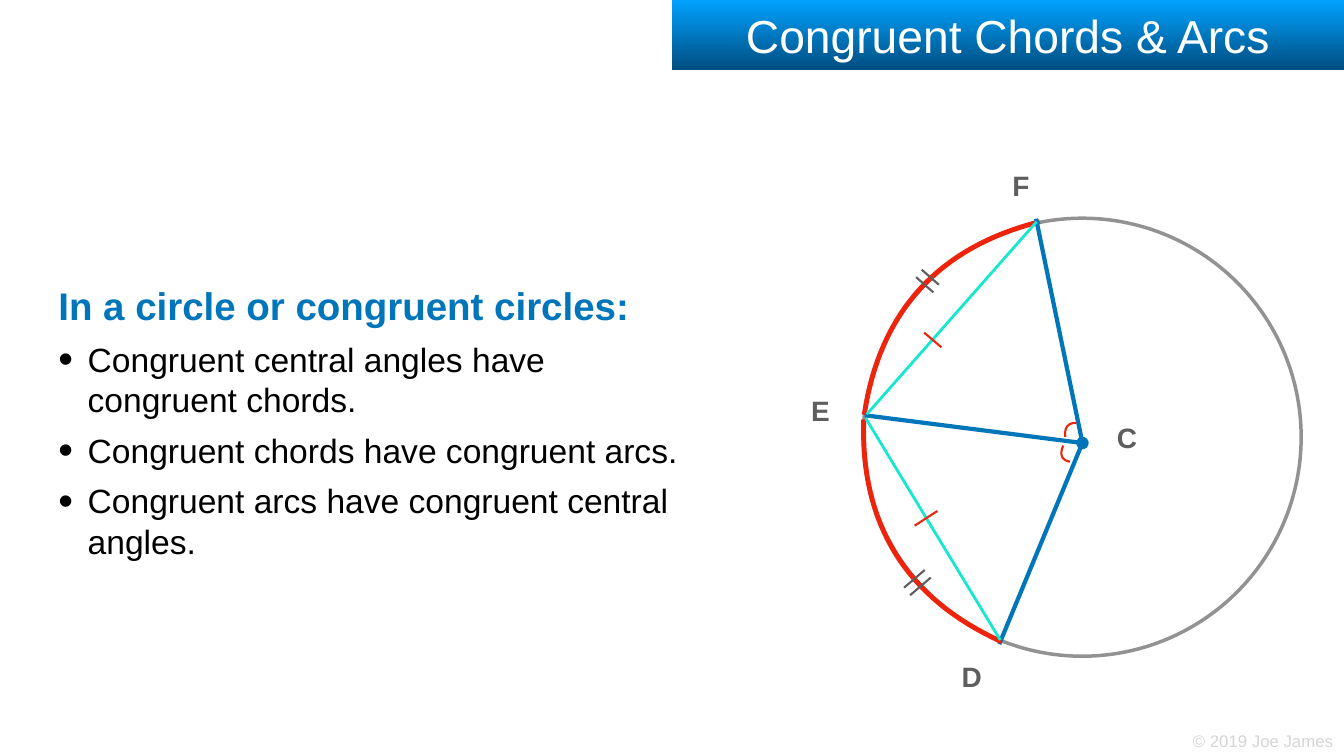
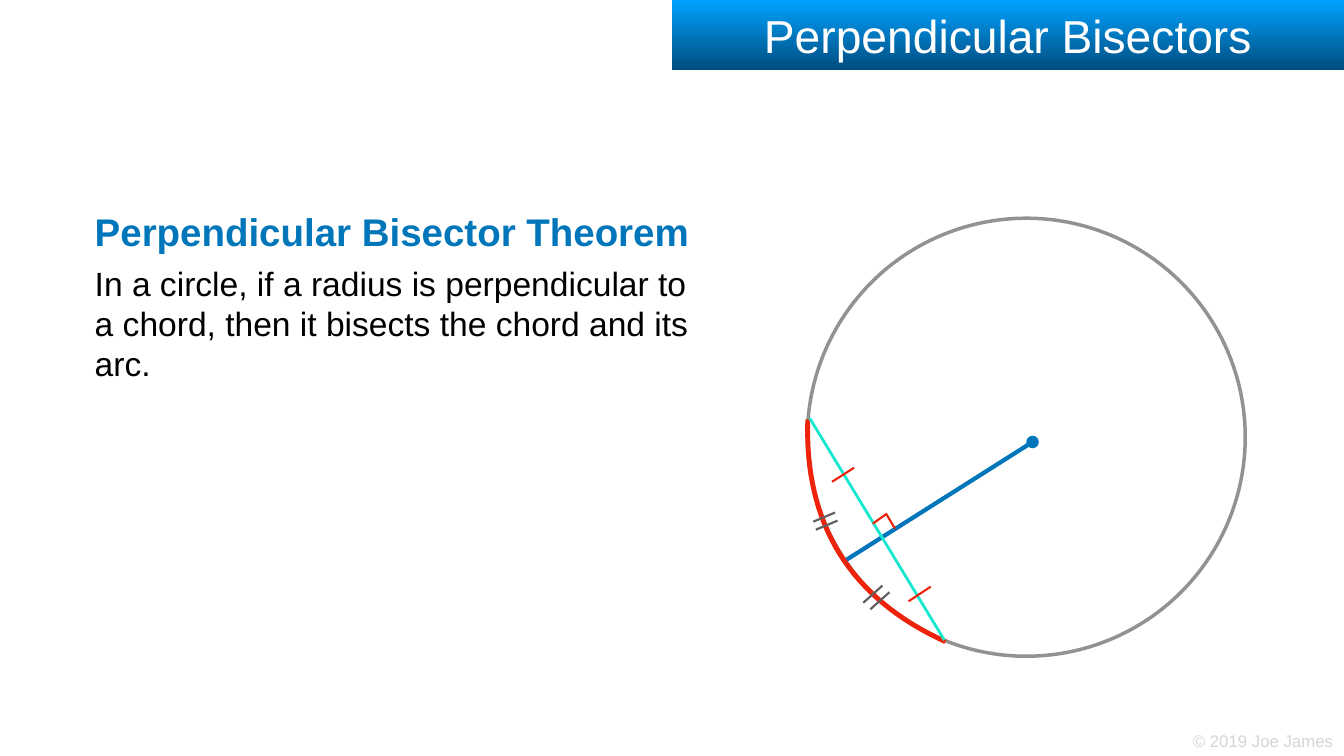
"""Build two geometry slides about chords, arcs and perpendicular bisectors."""
from dataclasses import dataclass
from typing import NamedTuple, Optional

from lxml import etree
from pptx import Presentation
from pptx import util as u
from pptx.dml.color import RGBColor
from pptx.enum import shapes, text
from pptx.oxml.ns import qn
from pptx.shapes.connector import Connector
from pptx.slide import Slide
from pptx.text.text import TextFrame, _Paragraph

EMU_PER_PX = 9144
FONT = "Arial"
INSET = 6
INDENT = 58
CURVE_STEPS = 32

WHITE = RGBColor(0xFF, 0xFF, 0xFF)
BLACK = RGBColor(0x00, 0x00, 0x00)
BLUE = RGBColor(0x00, 0x76, 0xBA)
BAND_TOP = RGBColor(0x00, 0xA2, 0xFF)
BAND_BOTTOM = RGBColor(0x00, 0x4D, 0x80)
RED = RGBColor(0xEE, 0x23, 0x0C)
TEAL = RGBColor(0x16, 0xE7, 0xCF)
DARK_GRAY = RGBColor(0x5E, 0x5E, 0x5E)
MID_GRAY = RGBColor(0x92, 0x92, 0x92)
PALE_GRAY = RGBColor(0xD5, 0xD5, 0xD5)

Point = tuple[int, int]


class Area(NamedTuple):
    left: int
    top: int
    width: int
    height: int


class Pen(NamedTuple):
    color: RGBColor
    width: int
    dot: bool = False


class Type(NamedTuple):
    size: int
    color: RGBColor
    bold: bool = False


@dataclass(frozen=True)
class Stroke:
    pen: Pen
    points: tuple[Point, ...]

    def moved(self, right: int, down: int = 0) -> "Stroke":
        """Return the same stroke at another place."""
        return Stroke(self.pen, tuple((x + right, y + down) for x, y in self.points))


@dataclass(frozen=True)
class Line:
    words: str
    style: Type
    bullet: bool = False


@dataclass(frozen=True)
class Label:
    letter: str
    area: Area


@dataclass(frozen=True)
class Theorem:
    title: str
    area: Area
    gap: int
    lines: tuple[Line, ...]
    circle: Area
    strokes: tuple[Stroke, ...]
    labels: tuple[Label, ...] = ()


ARC = Pen(RED, 7)
RADIUS = Pen(BLUE, 6)
CENTER_RADIUS = Pen(BLUE, 6, dot=True)
CHORD = Pen(TEAL, 4)
CHORD_MARK = Pen(RED, 3)
ARC_MARK = Pen(DARK_GRAY, 3)
OUTLINE = Pen(MID_GRAY, 5)

TITLE_TYPE = Type(66, WHITE)
HEADING = Type(55, BLUE, bold=True)
BODY = Type(48, BLACK)
LETTER = Type(40, DARK_GRAY, bold=True)
CREDIT = Type(24, PALE_GRAY)

SLIDE_SIZE = (2667, 1500)
BAND = Area(1333, 0, 1334, 139)
FOOTER = Area(2361, 1445, 291, 49)
CIRCLE = Area(1713, 433, 869, 869)
FIGURE_SHIFT = -111

LOWER_ARC = Stroke(ARC, ((1987, 1273), (1798, 1187), (1707, 1040), (1714, 832)))
LOWER_CHORD = Stroke(CHORD, ((1985, 1270), (1718, 830)))


def double_mark(start: Point, end: Point, right: int, down: int) -> tuple[Stroke, Stroke]:
    """Return two parallel ticks across an arc."""
    tick = Stroke(ARC_MARK, (start, end))
    return tick, tick.moved(right, down)


THEOREMS = (
    Theorem(
        "Congruent Chords & Arcs",
        Area(110, 553, 1277, 562),
        15,
        (
            Line("In a circle or congruent circles:", HEADING),
            Line("Congruent central angles have congruent chords.", BODY, bullet=True),
            Line("Congruent chords have congruent arcs.", BODY, bullet=True),
            Line("Congruent arcs have congruent central angles.", BODY, bullet=True),
        ),
        CIRCLE,
        (
            Stroke(ARC, ((1715, 823), (1746, 618), (1862, 491), (2063, 440))),
            Stroke(CENTER_RADIUS, ((2148, 879), (2056, 434))),
            Stroke(RADIUS, ((2148, 879), (1716, 824))),
            Stroke(RADIUS, ((2150, 874), (1983, 1278))),
            LOWER_ARC,
            Stroke(CHORD, ((2057, 440), (1720, 822))),
            LOWER_CHORD,
            Stroke(CHORD_MARK, ((1815, 1043), (1860, 1014))),
            Stroke(CHORD_MARK, ((1868, 689), (1834, 660))),
            Stroke(CHORD_MARK, ((2114, 867), (2112, 848), (2119, 839), (2136, 839))),
            Stroke(CHORD_MARK, ((2123, 916), (2107, 913), (2102, 902), (2110, 884))),
            *double_mark((1794, 1166), (1835, 1131), 12, 15),
            *double_mark((1852, 580), (1818, 550), 11, -15),
        ),
        (
            Label("E", Area(1584, 744, 88, 140)),
            Label("C", Area(2188, 797, 97, 140)),
            Label("F", Area(1985, 297, 82, 140)),
            Label("D", Area(1880, 1271, 97, 140)),
        ),
    ),
    Theorem(
        "Perpendicular Bisectors",
        Area(182, 407, 1232, 358),
        12,
        (
            Line("Perpendicular Bisector Theorem", HEADING),
            Line(
                "In a circle, if a radius is perpendicular to a chord, "
                "then it bisects the chord and its arc.",
                BODY,
            ),
        ),
        CIRCLE._replace(left=CIRCLE.left + FIGURE_SHIFT),
        (
            Stroke(CENTER_RADIUS, ((2049, 877), (1676, 1113))),
            LOWER_ARC.moved(FIGURE_SHIFT),
            LOWER_CHORD.moved(FIGURE_SHIFT),
            Stroke(CHORD_MARK, ((1803, 1193), (1847, 1164))),
            Stroke(CHORD_MARK, ((1651, 956), (1695, 928))),
            *double_mark((1713, 1196), (1751, 1162), 14, 13),
            *double_mark((1614, 1035), (1657, 1017), 5, 16),
            Stroke(CHORD_MARK, ((1732, 1039), (1760, 1019))),
            Stroke(CHORD_MARK, ((1759, 1020), (1776, 1049))),
        ),
    ),
)


def px(length: float) -> u.Emu:
    """Turn px into EMU."""
    return u.Emu(round(length * EMU_PER_PX))


def emu(area: Area) -> tuple[u.Emu, ...]:
    """Turn an area in px into EMU."""
    return tuple(px(length) for length in area)


def add_span(para: _Paragraph, words: str, style: Type) -> None:
    """Add one run with its font."""
    span = para.add_run()
    span.text = words
    span.font.name = FONT
    span.font.size = u.Pt(style.size)
    span.font.bold = style.bold
    span.font.color.rgb = style.color


def set_frame(frame: TextFrame, anchor: text.MSO_ANCHOR, wrap: bool = True, grow: bool = False) -> None:
    """Set the insets, anchor and fit of a text frame."""
    frame.word_wrap = wrap
    frame.auto_size = text.MSO_AUTO_SIZE.SHAPE_TO_FIT_TEXT if grow else text.MSO_AUTO_SIZE.NONE
    frame.vertical_anchor = anchor
    frame.margin_left = frame.margin_right = px(INSET)
    frame.margin_top = frame.margin_bottom = px(INSET)


def add_bullet(para: _Paragraph) -> None:
    """Give a paragraph a hanging round bullet."""
    props = para._p.get_or_add_pPr()
    props.set("marL", str(px(INDENT)))
    props.set("indent", str(-px(INDENT)))
    etree.SubElement(props, qn("a:buSzPct"), val="125000")
    etree.SubElement(props, qn("a:buFont"), typeface=FONT)
    etree.SubElement(props, qn("a:buChar"), char="•")


def add_title(page: Slide, words: str) -> None:
    """Turn the title placeholder into the gradient band."""
    band = page.shapes.title
    band.left, band.top, band.width, band.height = emu(BAND)
    band.fill.gradient()
    band.fill.gradient_angle = 270
    for stop, color in zip(band.fill.gradient_stops, (BAND_TOP, BAND_BOTTOM)):
        stop.color.rgb = color
    set_frame(band.text_frame, text.MSO_ANCHOR.MIDDLE)
    para = band.text_frame.paragraphs[0]
    para.alignment = text.PP_ALIGN.CENTER
    add_span(para, words, TITLE_TYPE)


def add_footer(page: Slide) -> None:
    """Add the copyright line."""
    box = page.shapes.add_textbox(*emu(FOOTER))
    set_frame(box.text_frame, text.MSO_ANCHOR.MIDDLE, wrap=False, grow=True)
    add_span(box.text_frame.paragraphs[0], "© 2019 Joe James", CREDIT)


def add_statement(page: Slide, theorem: Theorem) -> None:
    """Add the heading and body of a theorem."""
    box = page.shapes.add_textbox(*emu(theorem.area))
    frame = box.text_frame
    set_frame(frame, text.MSO_ANCHOR.TOP, grow=True)
    for index, line in enumerate(theorem.lines):
        para = frame.add_paragraph() if index else frame.paragraphs[0]
        if line.bullet:
            add_bullet(para)
        para.space_before = u.Pt(theorem.gap if index else 0)
        add_span(para, line.words, line.style)


def add_label(page: Slide, label: Label) -> None:
    """Add the letter of a point."""
    box = page.shapes.add_textbox(*emu(label.area))
    set_frame(box.text_frame, text.MSO_ANCHOR.MIDDLE)
    para = box.text_frame.paragraphs[0]
    para.alignment = text.PP_ALIGN.CENTER
    add_span(para, label.letter, LETTER)


def set_pen(shape, pen: Pen, fill: Optional[RGBColor] = None) -> None:
    """Outline a shape or connector and fill a shape if asked."""
    shape.line.color.rgb = pen.color
    shape.line.width = u.Pt(pen.width)
    if isinstance(shape, Connector):
        props = shape.element.spPr
        if pen.dot:
            etree.SubElement(props.find(qn("a:ln")), qn("a:headEnd"), type="oval")
        etree.SubElement(props, qn("a:effectLst"))
        return
    shape.shadow.inherit = False
    if fill is None:
        shape.fill.background()
    else:
        shape.fill.solid()
        shape.fill.fore_color.rgb = fill


def curve_point(points: tuple[Point, ...], t: float) -> tuple[u.Emu, ...]:
    """Return the place at t on a cubic curve."""
    weights = ((1 - t) ** 3, 3 * t * (1 - t) ** 2, 3 * t * t * (1 - t), t ** 3)
    return tuple(px(sum(w * c for w, c in zip(weights, axis))) for axis in zip(*points))


def add_stroke(page: Slide, stroke: Stroke) -> None:
    """Draw a straight line from two points or a curve from four."""
    if len(stroke.points) == 2:
        start, end = stroke.points
        ends = (px(length) for length in start + end)
        shape = page.shapes.add_connector(shapes.MSO_CONNECTOR.STRAIGHT, *ends)
    else:
        places = [curve_point(stroke.points, step / CURVE_STEPS) for step in range(CURVE_STEPS + 1)]
        builder = page.shapes.build_freeform(*places[0])
        builder.add_line_segments(places[1:], close=False)
        shape = builder.convert_to_shape()
    set_pen(shape, stroke.pen)


def main() -> None:
    """Draw every theorem on its own page."""
    deck = Presentation()
    deck.slide_width, deck.slide_height = (px(length) for length in SLIDE_SIZE)
    for theorem in THEOREMS:
        page = deck.slides.add_slide(deck.slide_layouts[5])
        add_footer(page)
        add_title(page, theorem.title)
        add_statement(page, theorem)
        circle = page.shapes.add_shape(shapes.MSO_SHAPE.OVAL, *emu(theorem.circle))
        set_pen(circle, OUTLINE, WHITE)
        for stroke in theorem.strokes:
            add_stroke(page, stroke)
        for label in theorem.labels:
            add_label(page, label)
    deck.save("out.pptx")


if __name__ == "__main__":
    main()
